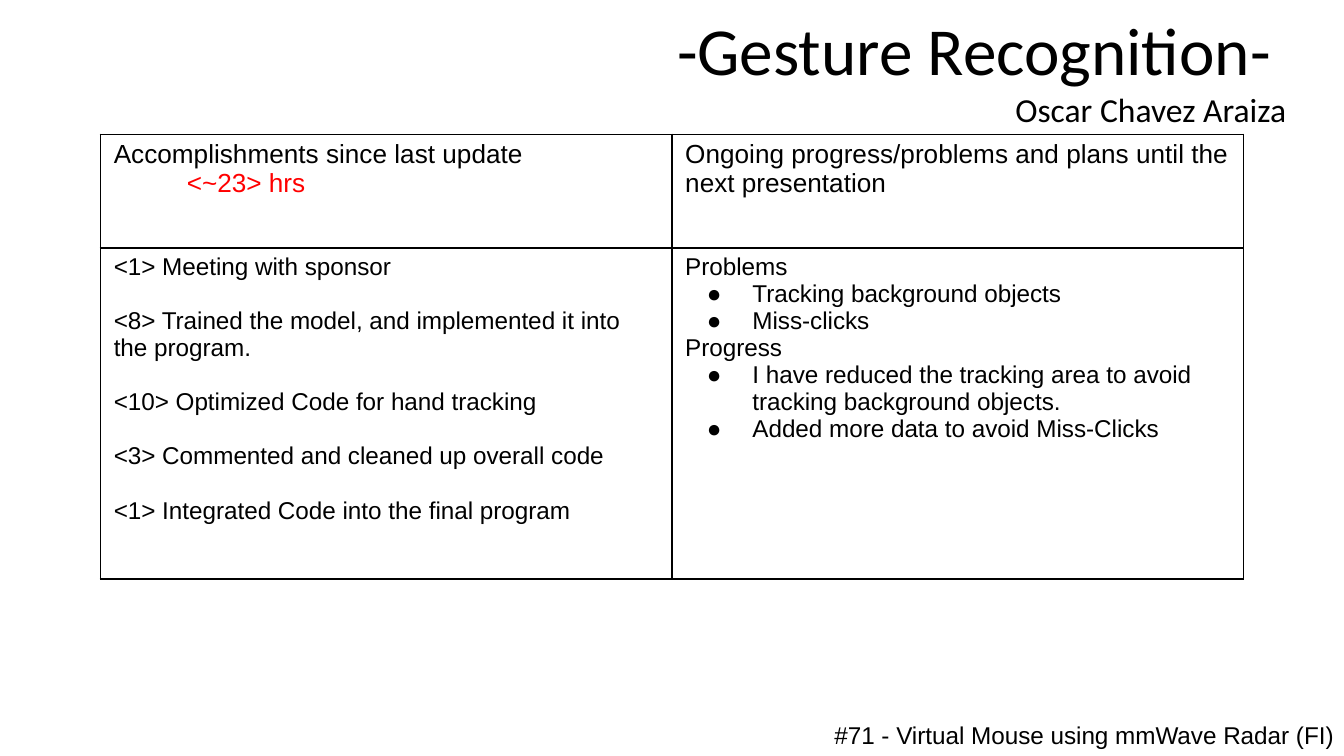
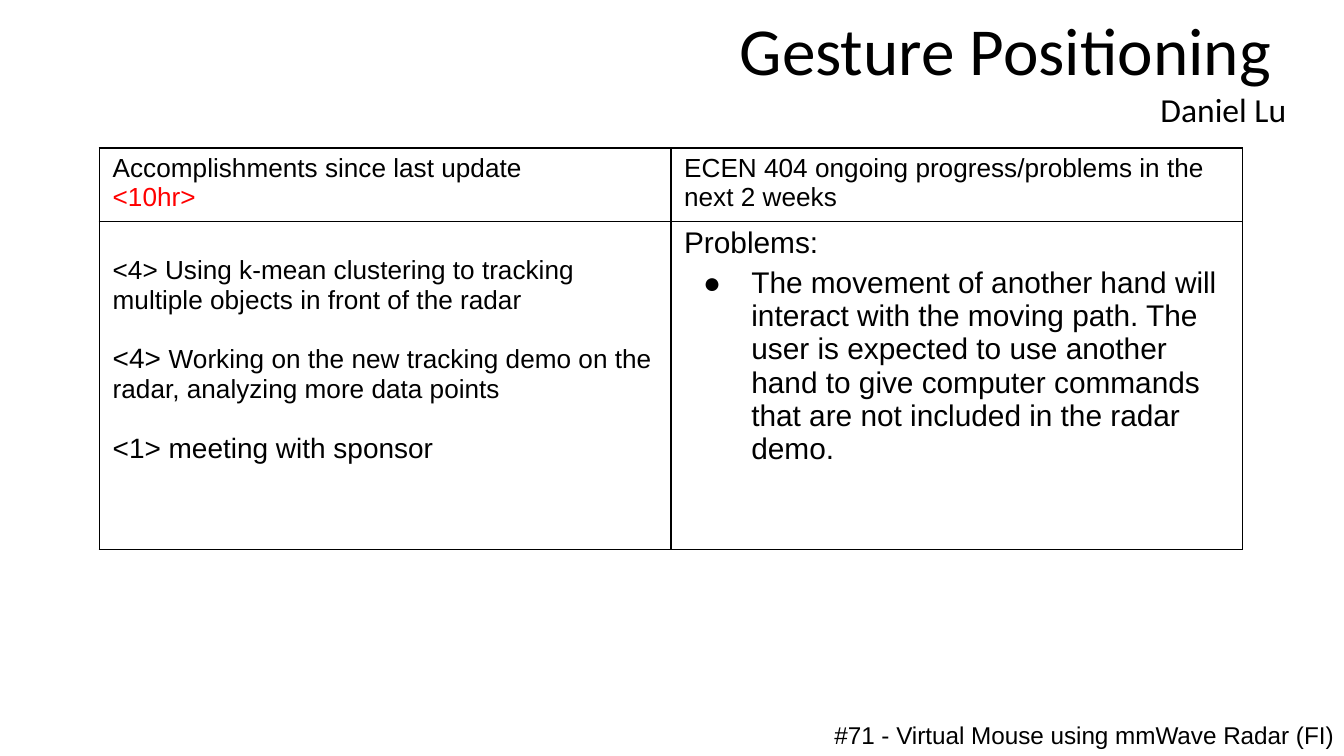
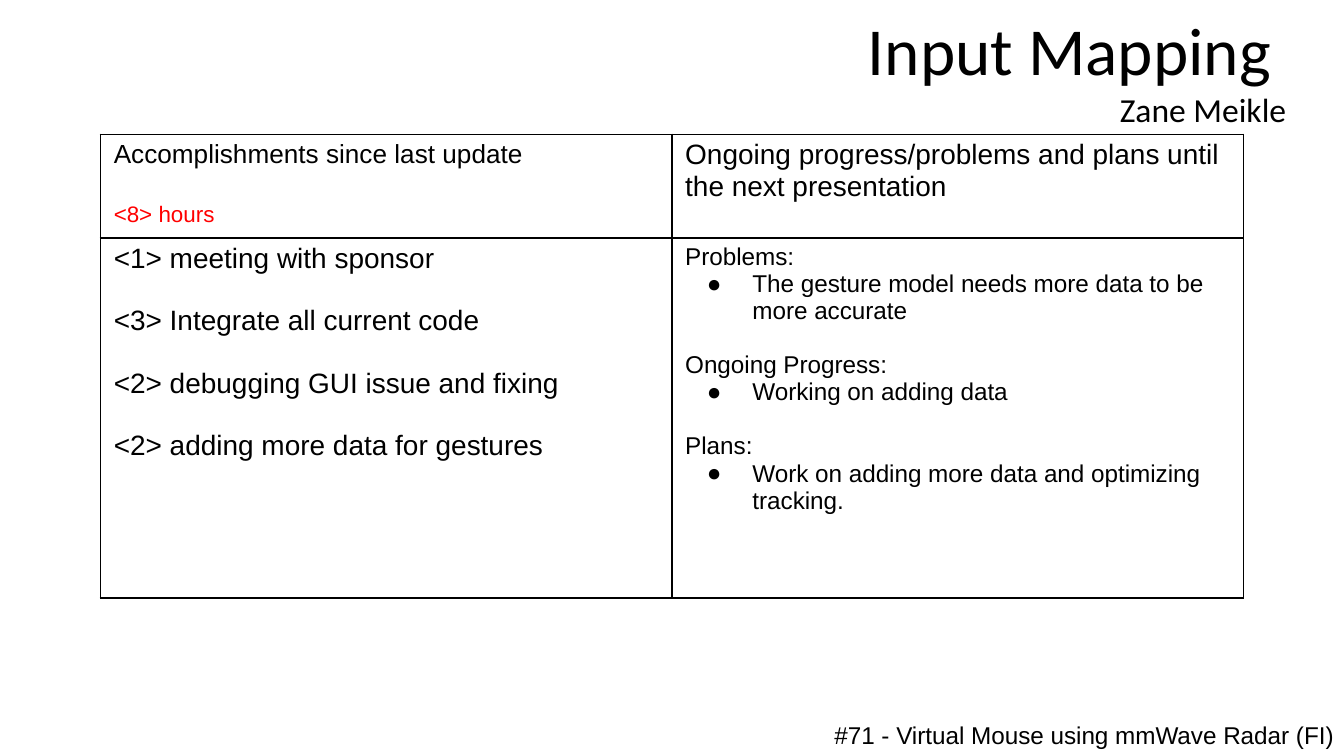
from dataclasses import dataclass

from pptx import Presentation
from pptx.dml.color import RGBColor
from pptx.enum.text import PP_ALIGN as Align
from pptx.oxml import parse_xml
from pptx.oxml.ns import nsdecls
from pptx.util import Cm, Pt

TEXT, ACCENT, LINE = "000000", "FF0000", "000000"
TITLE_FONT, BODY_FONT = "Calibri", "Arial"
TITLE_BOX = (6.15, 0.03, 18.41, 2.56)
FOOTER_BOX = (15.52, 13.36, 9.88, 0.92)
FOOTER = "#71 - Virtual Mouse using mmWave Radar (FI)"


@dataclass
class Par:
    runs: list
    gap: float = 0
    left: float = 0
    hang: float = 0


def par(text, size, color=TEXT, gap=0, left=0):
    return Par([(text, size, color)], gap, left)


def bullet(text, size, gap=0, hang=0.86):
    return Par([(text, size, TEXT)], gap, 1.27, hang)


def listed(texts, size, gap):
    return [par(t, size, gap=gap if i else 0) for i, t in enumerate(texts)]


def rgb(color):
    return RGBColor.from_string(color)


def add_run(p, text, size, color=TEXT, font=BODY_FONT):
    r = p.add_run()
    r.text = text
    r.font.size = Pt(size)
    r.font.name = font
    r.font.color.rgb = rgb(color)


def set_indent(p, left, hang):
    pPr = p._p.get_or_add_pPr()
    pPr.set("marL", str(Cm(left)))
    pPr.set("indent", str(-Cm(hang)))
    if hang:
        ns = nsdecls("a")
        pPr.append(parse_xml(f'<a:buClr {ns}><a:srgbClr val="{TEXT}"/></a:buClr>'))
        pPr.append(parse_xml(f'<a:buFont {ns} typeface="{BODY_FONT}"/>'))
        pPr.append(parse_xml(f'<a:buChar {ns} char="●"/>'))


def write(tf, pars):
    for i, item in enumerate(pars):
        p = tf.add_paragraph() if i else tf.paragraphs[0]
        set_indent(p, item.left, item.hang)
        if item.gap:
            p.space_before = Pt(item.gap)
        for run in item.runs:
            add_run(p, *run)


def set_borders(cell):
    tcPr = cell._tc.get_or_add_tcPr()
    for side in "LRTB":
        tcPr.append(parse_xml(
            f'<a:ln{side} {nsdecls("a")} w="{Pt(1)}"><a:solidFill>'
            f'<a:srgbClr val="{LINE}"/></a:solidFill></a:ln{side}>'))
    cell.fill.background()


def text_box(s, box):
    tf = s.shapes.add_textbox(*map(Cm, box)).text_frame
    tf.word_wrap = True
    return tf


def add_title(s, topic, speaker):
    tf = text_box(s, TITLE_BOX)
    for i, (text, size) in enumerate([(topic + " ", 36), (speaker, 18)]):
        p = tf.add_paragraph() if i else tf.paragraphs[0]
        p.alignment = Align.RIGHT
        add_run(p, text, size, font=TITLE_FONT)


def add_footer(s):
    tf = text_box(s, FOOTER_BOX)
    tf.margin_top = tf.margin_left = Cm(0.25)
    tf.margin_right = 0
    add_run(tf.paragraphs[0], FOOTER, 13)


def add_status_table(s, left, top, heights, rows):
    width = 10.8
    table = s.shapes.add_table(len(rows), 2, Cm(left), Cm(top),
                               Cm(2 * width), Cm(sum(heights))).table
    table.first_row = table.horz_banding = False
    for col in table.columns:
        col.width = Cm(width)
    for i, (height, row) in enumerate(zip(heights, rows)):
        table.rows[i].height = Cm(height)
        for j, pars in enumerate(row):
            cell = table.cell(i, j)
            cell.margin_left = cell.margin_right = Cm(0.25)
            cell.margin_top = cell.margin_bottom = Cm(0.1)
            set_borders(cell)
            write(cell.text_frame, pars)
    return table


def status_slide(prs, topic, speaker, left, top, heights, rows):
    s = prs.slides.add_slide(prs.slide_layouts[6])
    add_title(s, topic, speaker)
    table = add_status_table(s, left, top, heights, rows)
    add_footer(s)
    return table


def recognition_slide(prs):
    done = listed([
        "<1> Meeting with sponsor",
        "<8> Trained the model, and implemented it into the program.",
        "<10> Optimized Code for hand tracking",
        "<3> Commented and cleaned up overall code",
        "<1> Integrated Code into the final program"], 13, 14.5)
    status = [
        par("Problems", 13),
        bullet("Tracking background objects", 13),
        bullet("Miss-clicks", 13),
        par("Progress", 13),
        bullet("I have reduced the tracking area to avoid "
               "tracking background objects.", 13),
        bullet("Added more data to avoid Miss-Clicks", 13)]
    header = [
        [par("Accomplishments since last update", 14),
         par("<~23> hrs", 14, ACCENT, left=1.38)],
        [par("Ongoing progress/problems and plans until the next presentation", 14)]]
    status_slide(prs, "-Gesture Recognition-", "Oscar Chavez Araiza",
                 1.9, 2.54, (2.15, 6.25), [header, [done, status]])


def positioning_slide(prs):
    done = [
        par("<4> Using k-mean clustering to tracking multiple objects "
            "in front of the radar", 14),
        Par([("<4> ", 15, TEXT),
             ("Working on the new tracking demo on the radar, "
              "analyzing more data points", 14, TEXT)], gap=15.5),
        par("<1> meeting with sponsor", 15, gap=15.5)]
    status = [
        par("Problems:", 16),
        bullet("The movement of another hand will interact with the moving path. "
               "The user is expected to use another hand to give computer commands "
               "that are not included in the radar demo.", 16, gap=3.6, hang=0.91)]
    header = [
        [par("Accomplishments since last update", 14), par("<10hr>", 14, ACCENT)],
        [par("ECEN 404 ongoing progress/problems in the next 2 weeks", 14)]]
    table = status_slide(prs, "Gesture Positioning", "Daniel Lu",
                         1.88, 2.8, (1.37, 6.2), [header, [done, status]])
    table.cell(1, 0).margin_top = Cm(0.65)


def mapping_slide(prs):
    done = listed([
        "<1> meeting with sponsor",
        "<3> Integrate all current code",
        "<2> debugging GUI issue and fixing",
        "<2> adding more data for gestures"], 15, 16.7)
    status = [
        par("Problems:", 13),
        bullet("The gesture model needs more data to be more accurate", 13),
        par("Ongoing Progress:", 13, gap=14.5),
        bullet("Working on adding data", 13),
        par("Plans:", 13, gap=14.5),
        bullet("Work on adding more data and optimizing tracking.", 13)]
    header = [
        [par("Accomplishments since last update", 14),
         par("<8> hours", 12, ACCENT, gap=17.5)],
        [par("Ongoing progress/problems and plans until the next presentation", 15)]]
    status_slide(prs, "Input Mapping", "Zane Meikle",
                 1.9, 2.54, (1.96, 6.8), [header, [done, status]])


def main():
    prs = Presentation()
    prs.slide_width, prs.slide_height = Cm(25.4), Cm(14.29)
    recognition_slide(prs)
    positioning_slide(prs)
    mapping_slide(prs)
    prs.save("out.pptx")


if __name__ == "__main__":
    main()
